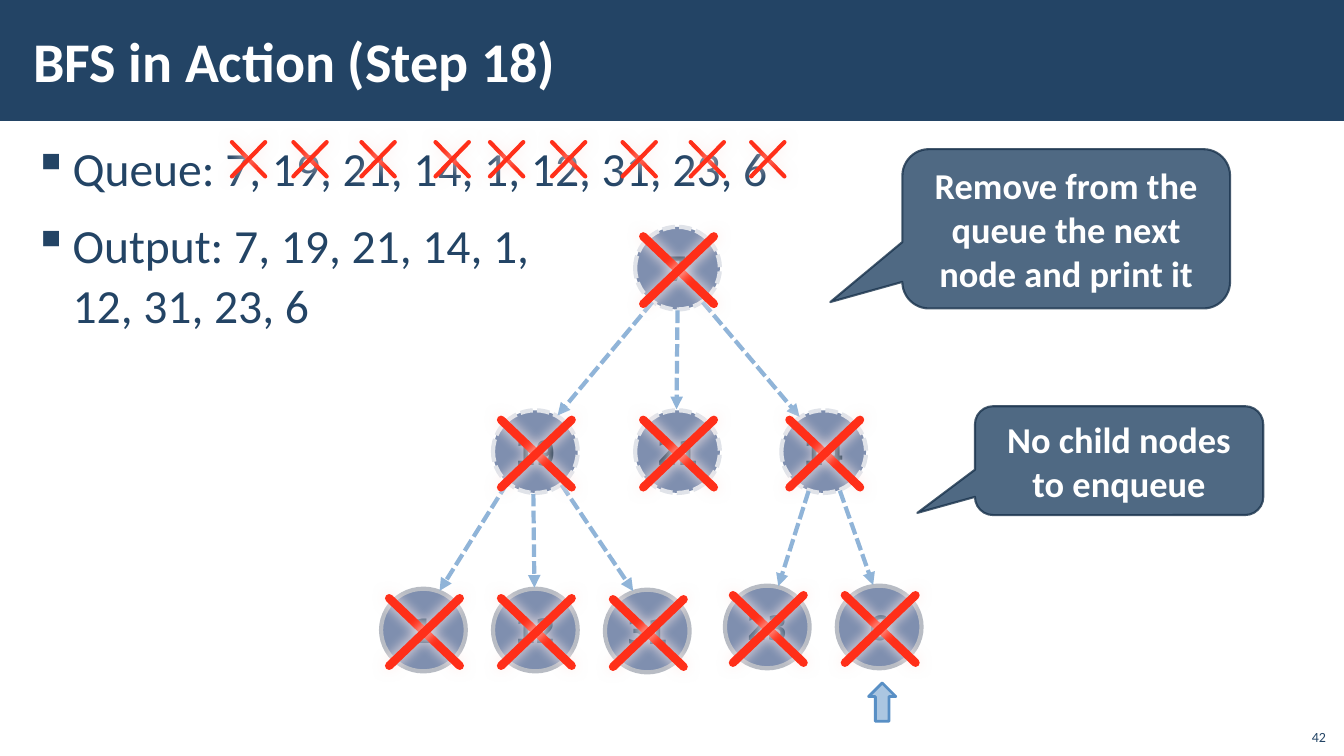
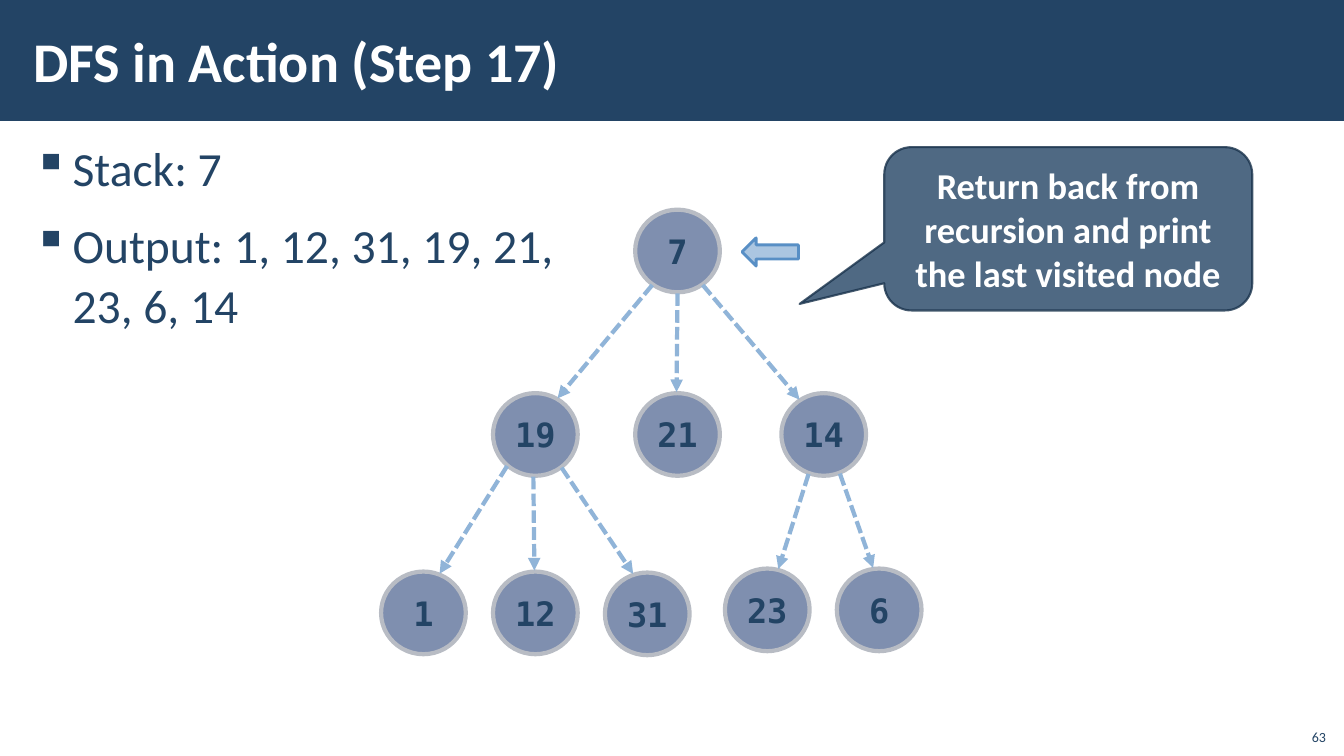
from math import sqrt

from lxml.etree import SubElement
from pptx import Presentation
from pptx.dml.color import RGBColor
from pptx.enum.dml import MSO_LINE
from pptx.enum.shapes import MSO_CONNECTOR, MSO_SHAPE as SHAPE
from pptx.enum.text import MSO_ANCHOR as ANCHOR, PP_ALIGN as ALIGN
from pptx.oxml.ns import qn
from pptx.util import Inches, Pt

# Colours
WHITE = RGBColor(0xFF, 0xFF, 0xFF)
NAVY = RGBColor(0x23, 0x44, 0x65)
DARK = RGBColor(0x1A, 0x33, 0x4C)
INK = RGBColor(0x00, 0x20, 0x60)
NODE = RGBColor(0x7F, 0x8F, 0xAF)
RIM = RGBColor(0xB8, 0xBC, 0xC4)
PALE_RIM = RGBColor(0xE0, 0xE3, 0xE9)
EDGE = RGBColor(0x90, 0xB4, 0xD8)
BLUE = RGBColor(0x58, 0x8F, 0xC5)
RED = RGBColor(0xFF, 0x2F, 0x19)
GLOW = RGBColor(0xFF, 0xED, 0xEB)

# Grid: square cells, ten to the inch
COLS, ROWS = 133.3, 75
RADIUS = 4.2

# Tree: node centres, and edges with the sideways shift at each end
CENTRES = {
    "7": (67.2, 26.6),
    "19": (53.1, 44.8), "21": (67.2, 44.8), "14": (81.7, 44.8),
    "1": (42, 62.5), "12": (53.1, 62.5), "31": (64.2, 62.6),
    "23": (76.1, 62.2), "6": (87.2, 62.2),
}
EDGES = [
    ("7", "19", -2.5, 2.2), ("7", "21", 0, -0.1), ("7", "14", 2.5, -2.4),
    ("19", "1", -2.8, 1.6), ("19", "12", -0.2, -0.1), ("19", "31", 2.6, -1.4),
    ("14", "23", -1.5, 1.1), ("14", "6", 1.6, -0.6),
]
INNER = {parent for parent, *_ in EDGES} | {"21"}
QUEUE_STRIKES = [24.65, 30.75, 37.5, 44.85, 50.25, 56.4, 63.4, 70.15, 76.15]


def cells(*values):
    return [Inches(v / 10) for v in values]


def fade(parent, percent):
    """Make the solid fill directly under parent partly transparent."""
    color = parent.find(qn("a:solidFill")).find(qn("a:srgbClr"))
    SubElement(color, qn("a:alpha"), val=str(percent * 1000))


class Deck:
    def __init__(self):
        self.prs = Presentation()
        self.prs.slide_width, self.prs.slide_height = cells(COLS, ROWS)
        self.s = None

    # Text
    def style(self, p, size, color, bold=False, font="Calibri", align=None):
        p.alignment = align
        for r in p.runs:
            r.font.name, r.font.size, r.font.bold = font, Pt(size), bold
            r.font.color.rgb = color

    def text(self, box, lines, anchor, size, color, inset=None, **look):
        tf = self.s.shapes.add_textbox(*cells(*box)).text_frame
        tf.word_wrap, tf.vertical_anchor = True, anchor
        if inset:
            tf.margin_left, tf.margin_top = cells(*inset)
            tf.margin_right, tf.margin_bottom = cells(*inset)
        tf.text = "\n".join(lines)
        for p in tf.paragraphs:
            self.style(p, size, color, **look)
        return tf

    def slide(self, title, number):
        self.s = self.prs.slides.add_slide(self.prs.slide_layouts[6])
        self.shape(SHAPE.RECTANGLE, (0, 0, COLS, 12), NAVY)
        self.text((2.1, 1.1, 106.3, 9.7), [title], ANCHOR.MIDDLE, 40, WHITE,
                  inset=(1.2, 0.4), bold=True)
        self.text((128.5, 71.2, 4, 3.2), [number], ANCHOR.BOTTOM, 10, NAVY,
                  align=ALIGN.RIGHT)

    def bullets(self, *lines):
        tf = self.text((2.1, 13.1, 129.2, 60.5), lines, ANCHOR.TOP, 34, NAVY,
                       inset=(1.2, 0.4))
        for p in tf.paragraphs:
            p.line_spacing = 1.05
            p.space_before = p.space_after = Pt(6)
            pPr = p._p.get_or_add_pPr()
            indent = Inches(0.39)
            pPr.set("marL", str(indent))
            pPr.set("indent", str(-indent))
            SubElement(pPr, qn("a:buChar"), char="▪")

    # Shapes
    def shape(self, kind, box, fill, line=None, width=1):
        sp = self.s.shapes.add_shape(kind, *cells(*box))
        sp.shadow.inherit = False
        sp.fill.solid()
        sp.fill.fore_color.rgb = fill
        if line is None:
            sp.line.fill.background()
        else:
            sp.line.color.rgb, sp.line.width = line, Pt(width)
        return sp

    def label(self, sp, text, size, color, wrap=True, font="Calibri"):
        tf = sp.text_frame
        tf.word_wrap, tf.vertical_anchor = wrap, ANCHOR.MIDDLE
        tf.text = text
        self.style(tf.paragraphs[0], size, color, True, font, ALIGN.CENTER)

    def callout(self, box, text, tip):
        sp = self.shape(SHAPE.ROUNDED_RECTANGULAR_CALLOUT, box, NAVY, DARK, 1.5)
        sp.adjustments[0], sp.adjustments[1] = tip
        spPr = sp.element.spPr
        fade(spPr, 80)
        fade(spPr.find(qn("a:ln")), 80)
        self.label(sp, text, 26, WHITE)

    def pointer(self, kind, box):
        sp = self.shape(kind, box, BLUE, BLUE, 2)
        fade(sp.element.spPr, 50)

    # Lines
    def line(self, start, end, color, width):
        c = self.s.shapes.add_connector(MSO_CONNECTOR.STRAIGHT,
                                        *cells(*start, *end))
        c.line.color.rgb, c.line.width = color, Pt(width)
        effects = SubElement(c.element.spPr, qn("a:effectLst"))
        return c, effects

    def arrow(self, start, end):
        c, _ = self.line(start, end, EDGE, 3)
        c.line.dash_style = MSO_LINE.SQUARE_DOT
        SubElement(c.element.spPr.find(qn("a:ln")), qn("a:tailEnd"),
                   type="triangle")

    def cross(self, x, y, w, h, width):
        for side in (-1, 1):
            dx = side * w / 2
            c, effects = self.line((x + dx, y - h / 2), (x - dx, y + h / 2),
                                   RED, width)
            c.element.spPr.find(qn("a:ln")).set("cap", "rnd")
            glow = SubElement(effects, qn("a:outerShdw"), blurRad=str(Pt(10)),
                              dist="0", dir="5400000", rotWithShape="0")
            SubElement(glow, qn("a:srgbClr"), val=str(GLOW))

    # Tree
    def node(self, name, x, y, expanded):
        box = (x - RADIUS, y - RADIUS + 0.1, 2 * RADIUS, 2 * RADIUS - 0.2)
        sp = self.shape(SHAPE.OVAL, box, NODE if expanded else INK,
                        PALE_RIM if expanded else RIM, 3)
        if expanded:
            sp.line.dash_style = MSO_LINE.SQUARE_DOT
        else:
            fade(sp.element.spPr, 50)
        self.label(sp, name, 24, DARK if expanded else NAVY, False,
                   "DejaVu Sans Mono")

    def tree(self, rise=0, expanded=(), crossed=()):
        places = {n: (x, y - rise) for n, (x, y) in CENTRES.items()}
        for name, (x, y) in places.items():
            self.node(name, x, y, name in expanded)
        for parent, child, out, into in EDGES:
            (x1, y1), (x2, y2) = places[parent], places[child]
            self.arrow((x1 + out, y1 + sqrt(RADIUS ** 2 - out ** 2)),
                       (x2 + into, y2 - sqrt(RADIUS ** 2 - into ** 2)))
        for name in crossed:
            x, y = places[name]
            self.cross(x + 0.1, y + 0.2, 7, 6.7, 6)


def main():
    deck = Deck()

    # Breadth-first search
    deck.slide("BFS in Action (Step 18)", "42")
    deck.bullets("Queue: 7, 19, 21, 14, 1, 12, 31, 23, 6",
                 "Output: 7, 19, 21, 14, 1,\v12, 31, 23, 6")
    deck.tree(expanded=INNER, crossed=CENTRES)
    for x in QUEUE_STRIKES:
        deck.cross(x, 15.8, 3.3, 3.4, 3)
    deck.pointer(SHAPE.UP_ARROW, (86.15, 67.75, 2.7, 3.8))
    deck.callout((96.7, 40.3, 28.6, 10.8), "No child nodes to enqueue",
                 (-0.7, 0.48))
    deck.callout((89.5, 14.8, 32.5, 15.8),
                 "Remove from the queue the next node and print it",
                 (-0.72, 0.46))

    # Depth-first search
    deck.slide("DFS in Action (Step 17)", "63")
    deck.bullets("Stack: 7", "Output: 1, 12, 31, 19, 21,\v23, 6, 14")
    deck.tree(rise=1.7)
    deck.pointer(SHAPE.LEFT_ARROW, (73.6, 23.6, 5.6, 2.8))
    deck.callout((87.7, 14.6, 36.5, 16.2),
                 "Return back from recursion and print the last visited node",
                 (-0.73, 0.46))

    deck.prs.save("out.pptx")


if __name__ == "__main__":
    main()
